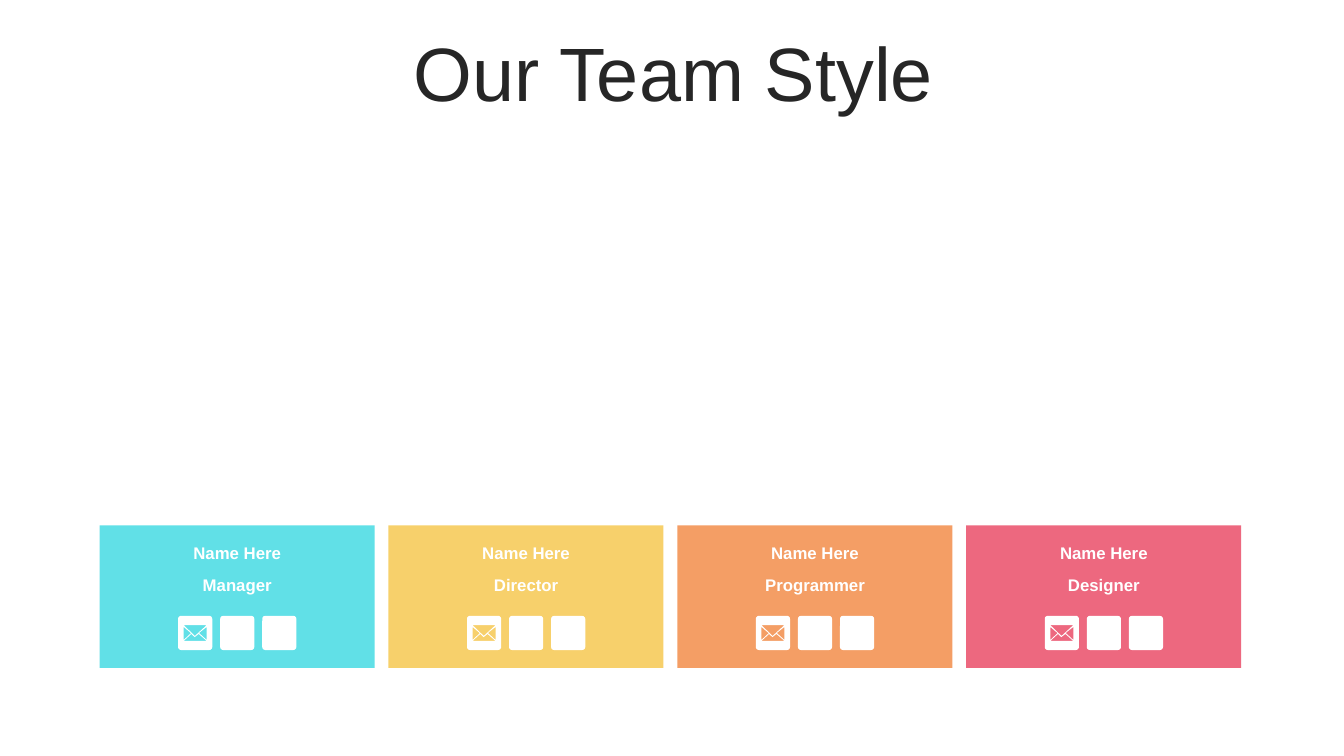
import math

import pptx
import pptx.dml.color
import pptx.enum.shapes
import pptx.enum.text
import pptx.oxml
import pptx.oxml.ns
import pptx.util
from pptx.util import Cm

COLORS = {
    "title": "262626",
    "white": "FFFFFF",
    "Manager": "1ED4DE",
    "Director": "F4BD2D",
    "Programmer": "F07624",
    "Designer": "E62949",
}
ROLES = ["Manager", "Director", "Programmer", "Designer"]
FONT = "Arial"

CARD_LEFT, CARD_TOP, CARD_PITCH = 2.51, 13.24, 7.28
CARD_WIDTH, CARD_HEIGHT = 6.93, 3.59
ICON_LEFT, ICON_TOP, ICON_PITCH, ICON_SIZE = 1.98, 15.52, 1.06, 0.86
LABEL_LEFT, LABEL_WIDTH, LABEL_HEIGHT = 1.07, 4.8, 0.69
NAME_TOP, ROLE_TOP = 13.59, 14.38

ICON_UNITS = 340
CORNER = 30
ENVELOPE_PARTS = [
    [(205, 180), (165, 212), (132, 180), (55, 250), (285, 250)],
    [(285, 110), (215, 165), (210, 172), (285, 240)],
    [(55, 110), (55, 240), (128, 172)],
    [(55, 92), (167, 200), (285, 92)],
]


def rgb(name):
    return pptx.dml.color.RGBColor.from_string(COLORS[name])


def fill_shape(shape, color, opacity=None):
    shape.shadow.inherit = False
    shape.fill.solid()
    shape.fill.fore_color.rgb = rgb(color)
    shape.line.fill.background()
    if opacity is not None:
        color_element = shape.fill._xPr.find(".//" + pptx.oxml.ns.qn("a:srgbClr"))
        color_element.append(pptx.oxml.parse_xml(
            f'<a:alpha {pptx.oxml.ns.nsdecls("a")} val="{opacity * 1000}"/>'))


def write_text(shape, text, size, color, bold=False):
    frame = shape.text_frame
    frame.text = text
    frame.word_wrap = True
    frame.auto_size = pptx.enum.text.MSO_AUTO_SIZE.NONE
    frame.vertical_anchor = pptx.enum.text.MSO_ANCHOR.MIDDLE
    paragraph = frame.paragraphs[0]
    paragraph.alignment = pptx.enum.text.PP_ALIGN.CENTER
    paragraph.font.name = FONT
    paragraph.font.size = pptx.util.Pt(size)
    paragraph.font.bold = bold
    paragraph.font.color.rgb = rgb(color)
    return paragraph


def add_title(slide, text):
    title = slide.shapes.title
    title.left, title.top = Cm(0.89), Cm(0.94)
    title.width, title.height = Cm(32.16), Cm(2.01)
    write_text(title, text, 54, "title").line_spacing = 0.9


def add_label(slide, left, top, text):
    label = slide.shapes.add_textbox(
        Cm(left), Cm(top), Cm(LABEL_WIDTH), Cm(LABEL_HEIGHT))
    write_text(label, text, 12, "white", bold=True)


def rounded_square():
    near, far = CORNER, ICON_UNITS - CORNER
    centers = [(far, far), (near, far), (near, near), (far, near)]
    points = []
    for quarter, (x, y) in enumerate(centers):
        for step in range(7):
            angle = math.radians(quarter * 90 + step * 15)
            points.append((x + CORNER * math.cos(angle), y + CORNER * math.sin(angle)))
    return points


def add_envelope(slide, left, top):
    outline, *holes = [rounded_square(), *ENVELOPE_PARTS]
    builder = slide.shapes.build_freeform(*outline[0], scale=Cm(ICON_SIZE) / ICON_UNITS)
    builder.add_line_segments(outline[1:])
    for hole in holes:
        builder.move_to(*hole[0])
        builder.add_line_segments(hole[1:])
    fill_shape(builder.convert_to_shape(Cm(left), Cm(top)), "white")


def add_plain_icon(slide, left, top):
    icon = slide.shapes.add_shape(
        pptx.enum.shapes.MSO_SHAPE.ROUNDED_RECTANGLE,
        Cm(left), Cm(top), Cm(ICON_SIZE), Cm(ICON_SIZE))
    icon.adjustments[0] = CORNER / ICON_UNITS
    fill_shape(icon, "white")


def add_card(slide, left, role):
    card = slide.shapes.add_shape(
        pptx.enum.shapes.MSO_SHAPE.RECTANGLE,
        Cm(left), Cm(CARD_TOP), Cm(CARD_WIDTH), Cm(CARD_HEIGHT))
    fill_shape(card, role, opacity=70)
    add_label(slide, left + LABEL_LEFT, NAME_TOP, "Name Here")
    add_label(slide, left + LABEL_LEFT, ROLE_TOP, role)
    for index, add_icon in enumerate([add_envelope, add_plain_icon, add_plain_icon]):
        add_icon(slide, left + ICON_LEFT + index * ICON_PITCH, ICON_TOP)


def main():
    presentation = pptx.Presentation()
    presentation.slide_width = Cm(33.87)
    presentation.slide_height = Cm(19.05)
    slide = presentation.slides.add_slide(presentation.slide_layouts[5])
    add_title(slide, "Our Team Style")
    for index, role in enumerate(ROLES):
        add_card(slide, CARD_LEFT + index * CARD_PITCH, role)
    presentation.save("out.pptx")


if __name__ == "__main__":
    main()
